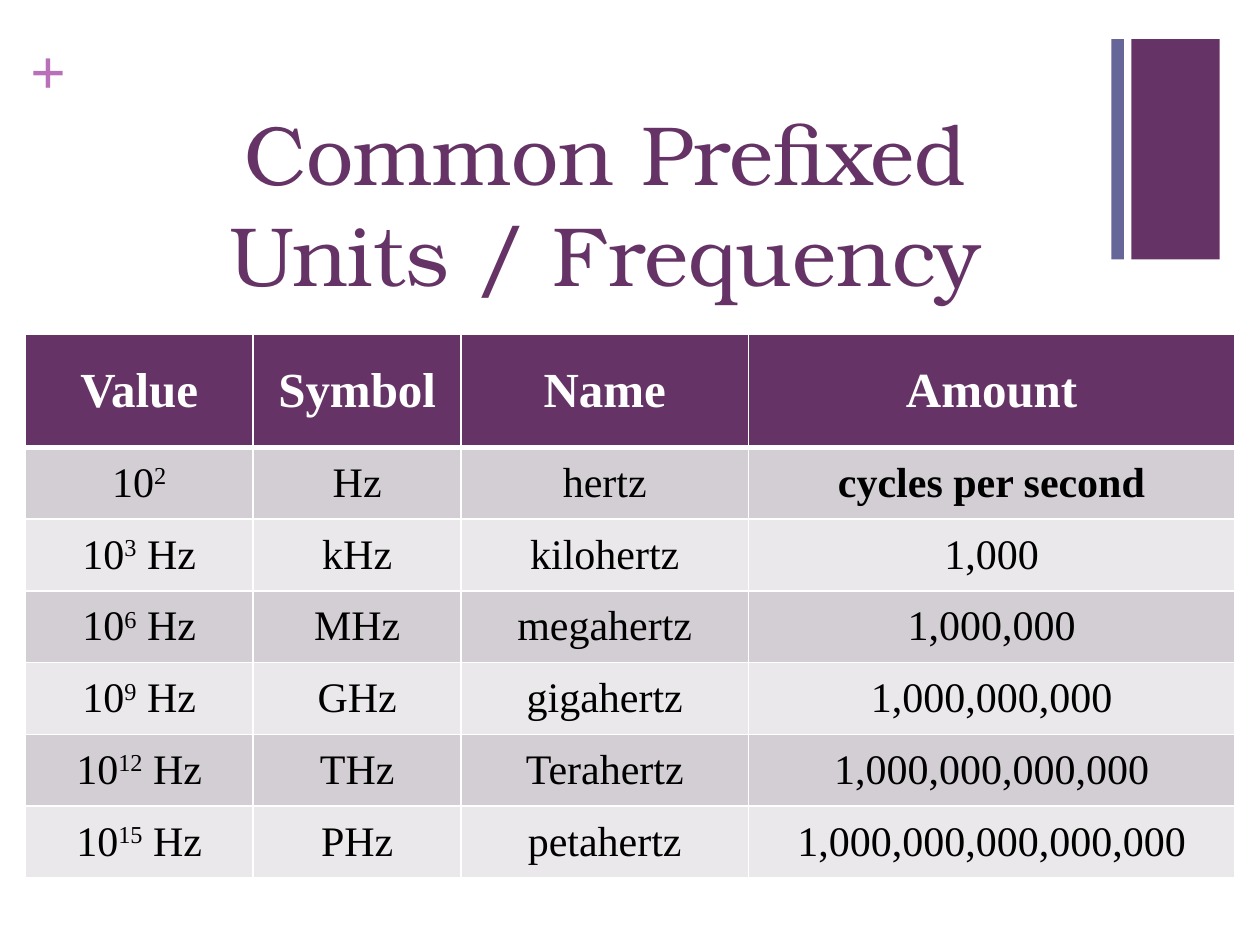
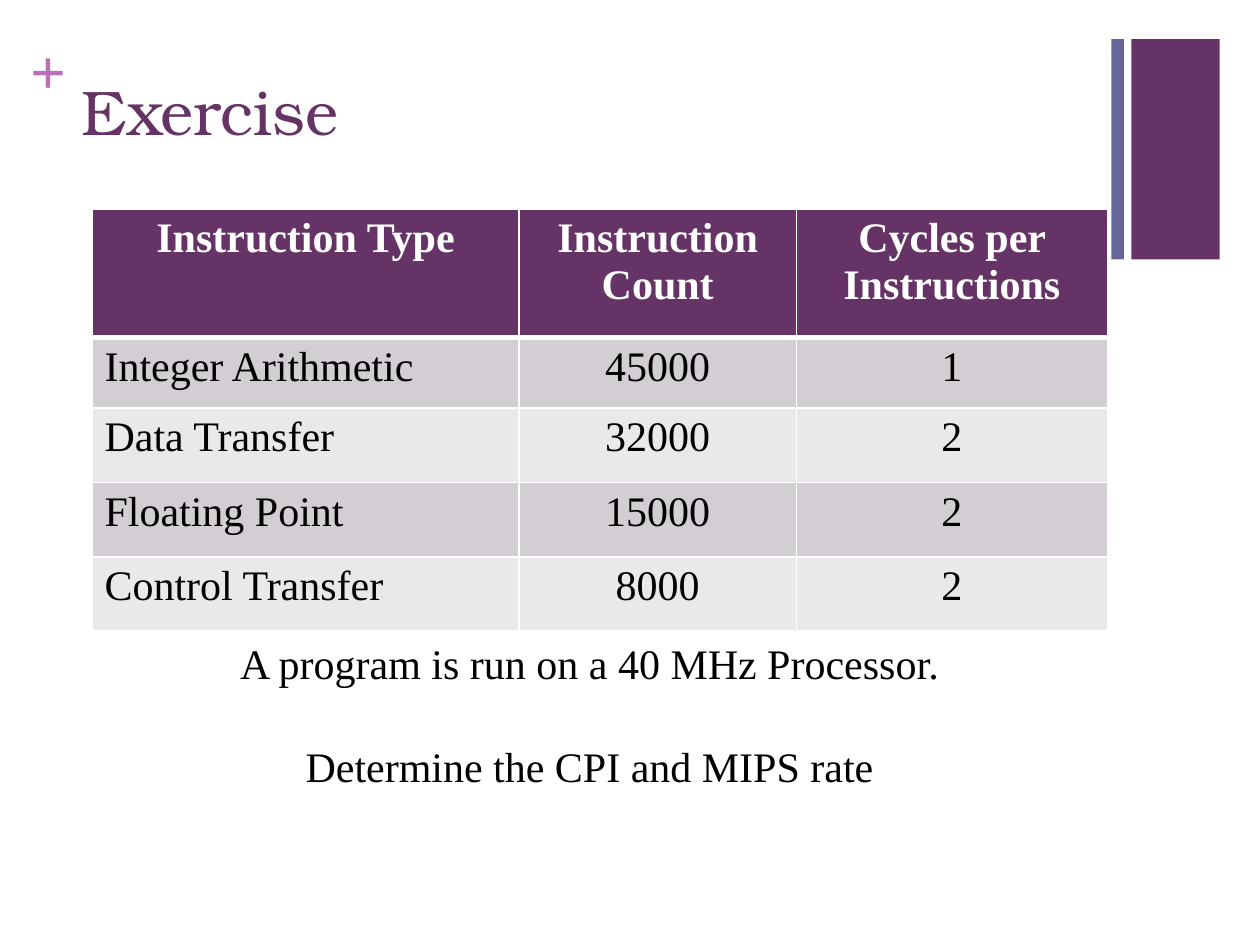
import pptx
import pptx.dml.color
import pptx.enum.shapes
import pptx.enum.text
import pptx.oxml.ns
import pptx.util
from lxml import etree

Inches = pptx.util.Inches
Pt = pptx.util.Pt
ALIGN = pptx.enum.text.PP_ALIGN
ANCHOR = pptx.enum.text.MSO_ANCHOR

PURPLE = "663366"
BLUE = "666699"
ORCHID = "B870B8"
WHITE = "FFFFFF"
BLACK = "000000"
BAND_FILLS = ("D3CED3", "EAE8EA")
TITLE_FONT = "TeX Gyre Bonum"
BODY_FONT = "Times New Roman"

FREQUENCY_ROWS = [
    ("Value", "Symbol", "Name", "Amount"),
    ("10^2", "Hz", "hertz", "cycles per second"),
    ("10^3 Hz", "kHz", "kilohertz", "1,000"),
    ("10^6 Hz", "MHz", "megahertz", "1,000,000"),
    ("10^9 Hz", "GHz", "gigahertz", "1,000,000,000"),
    ("10^12 Hz", "THz", "Terahertz", "1,000,000,000,000"),
    ("10^15 Hz", "PHz", "petahertz", "1,000,000,000,000,000"),
]
INSTRUCTION_ROWS = [
    ("Instruction Type", "Instruction Count", "Cycles per Instructions"),
    ("Integer Arithmetic", "45000", "1"),
    ("Data Transfer", "32000", "2"),
    ("Floating Point", "15000", "2"),
    ("Control Transfer", "8000", "2"),
]


def color(hex_text):
    return pptx.dml.color.RGBColor.from_string(hex_text)


def style(paragraph, size, hex_text, font=BODY_FONT, bold=False, align=ALIGN.LEFT):
    paragraph.alignment = align
    paragraph.font.name = font
    paragraph.font.size = Pt(size)
    paragraph.font.bold = bold
    paragraph.font.color.rgb = color(hex_text)


def add_bar(page, left, width, hex_text):
    bar = page.shapes.add_shape(
        pptx.enum.shapes.MSO_SHAPE.RECTANGLE,
        Inches(left), Inches(0.31), Inches(width), Inches(1.75))
    bar.shadow.inherit = False
    bar.fill.solid()
    bar.fill.fore_color.rgb = color(hex_text)
    bar.line.fill.background()


def add_text(page, place, lines, size, hex_text, gap=0, **look):
    box = page.shapes.add_textbox(*map(Inches, place))
    frame = box.text_frame
    frame.word_wrap = True
    for index, line in enumerate(lines):
        paragraph = frame.add_paragraph() if index else frame.paragraphs[0]
        paragraph.text = line
        if index:
            paragraph.space_before = Pt(gap)
        style(paragraph, size, hex_text, **look)
    return frame


def add_page(deck, title, place, size, align):
    page = deck.slides.add_slide(deck.slide_layouts[6])
    add_bar(page, 8.98, 0.7, PURPLE)
    plus = add_text(page, (0.24, 0.25, 0.29, 0.61), ["+"], 36, ORCHID, bold=True)
    plus.margin_left = plus.margin_right = plus.margin_top = plus.margin_bottom = 0
    plus.word_wrap = False
    add_bar(page, 8.82, 0.1, BLUE)
    add_text(page, place, [title], size, PURPLE, font=TITLE_FONT, align=align)
    return page


def set_border(cell, side, points):
    qn = pptx.oxml.ns.qn
    properties = cell._tc.get_or_add_tcPr()
    line = etree.SubElement(properties, qn("a:ln" + side), w=str(Pt(points)))
    fill = etree.SubElement(line, qn("a:solidFill"))
    etree.SubElement(fill, qn("a:srgbClr"), val=WHITE)


def write_power(paragraph, text):
    base, _, rest = text.partition("^")
    exponent, space, unit = rest.partition(" ")
    paragraph.add_run().text = base
    if exponent:
        span = paragraph.add_run()
        span.text = exponent
        span._r.get_or_add_rPr().set("baseline", "30000")
    if unit:
        paragraph.add_run().text = space + unit


def add_grid(page, left, top, widths, heights, rows, header_size,
             anchor=ANCHOR.TOP, first_align=ALIGN.CENTER, bold_texts=()):
    grid = page.shapes.add_table(
        len(rows), len(widths), Inches(left), Inches(top),
        Inches(sum(widths)), Inches(sum(heights))).table
    for column, width in zip(grid.columns, widths):
        column.width = Inches(width)
    for row, height in zip(grid.rows, heights):
        row.height = Inches(height)
    for row_index, texts in enumerate(rows):
        header = row_index == 0
        for column_index, text in enumerate(texts):
            cell = grid.cell(row_index, column_index)
            for side in "LRTB":
                heavy = (side, row_index) in (("B", 0), ("T", 1))
                set_border(cell, side, 3 if heavy else 1)
            cell.fill.solid()
            cell.fill.fore_color.rgb = color(
                PURPLE if header else BAND_FILLS[(row_index - 1) % 2])
            cell.vertical_anchor = anchor
            paragraph = cell.text_frame.paragraphs[0]
            write_power(paragraph, text)
            style(paragraph, header_size if header else 24,
                  WHITE if header else BLACK,
                  bold=header or text in bold_texts,
                  align=ALIGN.CENTER if header or column_index else first_align)


def add_frequency_page(deck):
    page = add_page(deck, "Common Prefixed Units / Frequency",
                    (1.22, 0.76, 7.17, 0.79), 48, ALIGN.CENTER)
    add_grid(page, 0.2, 2.65, (1.81, 1.65, 2.28, 3.86), [0.9] + [0.57] * 6,
             FREQUENCY_ROWS, 28, anchor=ANCHOR.MIDDLE,
             bold_texts=("cycles per second",))


def add_exercise_page(deck):
    page = add_page(deck, "Exercise", (0.55, 0.53, 8.26, 1.22), 36, ALIGN.LEFT)
    add_grid(page, 0.73, 1.66, (3.39, 2.2, 2.47), [1.02, 0.56] + [0.59] * 3,
             INSTRUCTION_ROWS, 24, first_align=ALIGN.LEFT)
    add_text(page, (0.73, 5.01, 7.9, 1.31),
             ["A program is run on a 40 MHz Processor.",
              "Determine the CPI and MIPS rate"],
             24, BLACK, gap=30, align=ALIGN.CENTER)


def main():
    deck = pptx.Presentation()
    deck.slide_width = Inches(10)
    deck.slide_height = Inches(7.5)
    add_frequency_page(deck)
    add_exercise_page(deck)
    deck.save("out.pptx")


if __name__ == "__main__":
    main()
